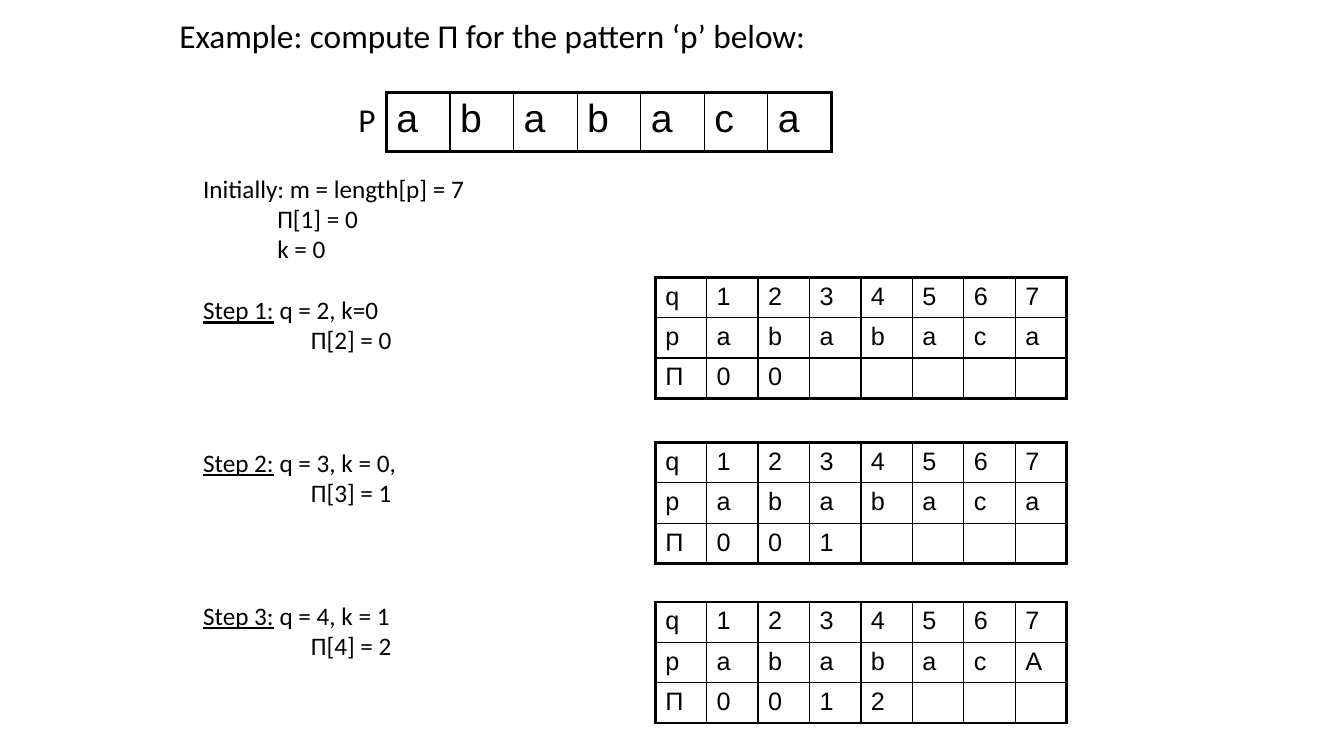
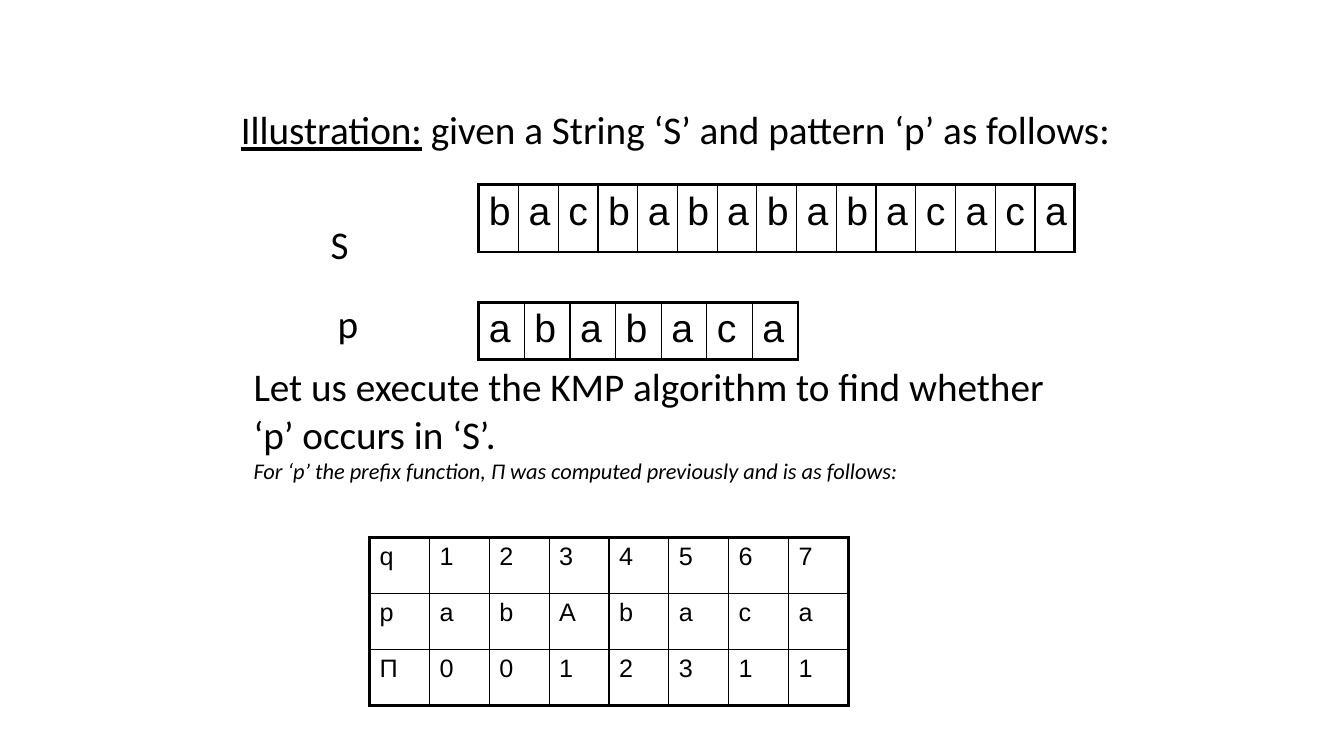
"""Build two slides on the KMP prefix function and its string matching example."""
from lxml import etree
from pptx import Presentation
from pptx.dml.color import RGBColor
from pptx.oxml import ns
from pptx.util import Pt

INK = RGBColor(0, 0, 0)
BODY, GRID = "Calibri", "Arial"
THIN, THICK = 1, 2.25
HEAD = "q1234567"
WORD = "ababaca"


def write(para, text, size=18, face=BODY, under=False, slant=False):
    run = para.add_run()
    run.text = text
    font = run.font
    font.size, font.name = Pt(size), face
    font.color.rgb = INK
    if under:
        font.underline = True
    if slant:
        font.italic = True


def add_box(slide, left, top, width, height):
    frame = slide.shapes.add_textbox(Pt(left), Pt(top), Pt(width), Pt(height)).text_frame
    frame.word_wrap = True
    return frame


def add_line(slide, text, left, top, width, size, lead=""):
    para = add_box(slide, left, top, width, size * 1.5).paragraphs[0]
    if lead:
        write(para, lead, size, under=True)
    write(para, text, size)


def add_steps(slide, steps, left, top, width, height):
    frame = add_box(slide, left, top, width, height)
    para = frame.paragraphs[0]
    for lead, text, results, indent, gap in steps:
        if lead:
            para = frame.add_paragraph()
            para.space_before = Pt(gap)
            write(para, lead, under=True)
        write(para, text)
        for result in results:
            para = frame.add_paragraph()
            para._p.get_or_add_pPr().set("marL", str(Pt(indent)))
            write(para, result)


def set_edge(cell, side, width):
    props = cell._tc.get_or_add_tcPr()
    line = etree.SubElement(props, ns.qn("a:ln" + side), w=str(Pt(width)))
    fill = etree.SubElement(line, ns.qn("a:solidFill"))
    etree.SubElement(fill, ns.qn("a:srgbClr"), val=str(INK))


def add_grid(slide, rows, left, top, width, row_height, size=18):
    count, cols = len(rows), len(rows[0])
    frame = slide.shapes.add_table(
        count, cols, Pt(left), Pt(top), Pt(width), Pt(row_height * count))
    table = frame.table
    table.first_row = table.horz_banding = False
    for col in table.columns:
        col.width = Pt(width / cols)
    for r, letters in enumerate(rows):
        table.rows[r].height = Pt(row_height)
        for c in range(cols):
            cell = table.cell(r, c)
            write(cell.text_frame.paragraphs[0], letters[c:c + 1], size, GRID)
            outer = {"L": c == 0, "R": c == cols - 1, "T": r == 0, "B": r == count - 1}
            for side, edge in outer.items():
                set_edge(cell, side, THICK if edge else THIN)
            cell.fill.background()


def add_prefix(slide):
    add_line(slide, "Example: compute Π for the pattern ‘p’ below:", 121, 7, 582, 23.8)
    add_line(slide, "P", 249, 67, 30, 23.8)
    add_grid(slide, [WORD], 276, 66, 318, 42, 28)
    steps = [
        ("", "Initially: m = length[p] = 7", ["Π[1] = 0", "k = 0"], 53, 0),
        ("Step 1:", " q = 2, k=0", ["Π[2] = 0"], 77, 22),
        ("Step 2:", " q = 3, k = 0,", ["Π[3] = 1"], 77, 66),
        ("Step 3:", " q = 4, k = 1", ["Π[4] = 2"], 77, 66),
    ]
    add_steps(slide, steps, 138, 120, 306, 397)
    tables = [(198, "a", "Π00"), (316, "a", "Π001"), (430, "A", "Π0012")]
    for top, last, values in tables:
        add_grid(slide, [HEAD, "p" + WORD[:-1] + last, values], 468, top, 294, 28.8)


def add_match(slide):
    add_line(slide, " given a String ‘S’ and pattern ‘p’ as follows:", 165, 72, 648, 28,
             lead="Illustration:")
    add_line(slide, "S", 229, 154, 40, 28)
    add_grid(slide, ["bacbabababacaca"], 342, 132, 426, 48, 28)
    add_line(slide, "p", 234, 210, 40, 28)
    add_grid(slide, [WORD], 342, 216, 228, 41, 28)
    frame = add_box(slide, 174, 255.6, 583, 94)
    write(frame.paragraphs[0],
          "Let us execute the KMP algorithm to find whether ‘p’ occurs in ‘S’.", 28)
    write(frame.add_paragraph(),
          "For ‘p’ the prefix function, Π was computed previously and is as follows:",
          16, slant=True)
    add_grid(slide, [HEAD, "pabAbaca", "Π0012311"], 264, 384, 342, 40)


def main():
    deck = Presentation()
    deck.slide_width, deck.slide_height = Pt(960), Pt(540)
    for build in (add_prefix, add_match):
        build(deck.slides.add_slide(deck.slide_layouts[6]))
    deck.save("out.pptx")


if __name__ == "__main__":
    main()
